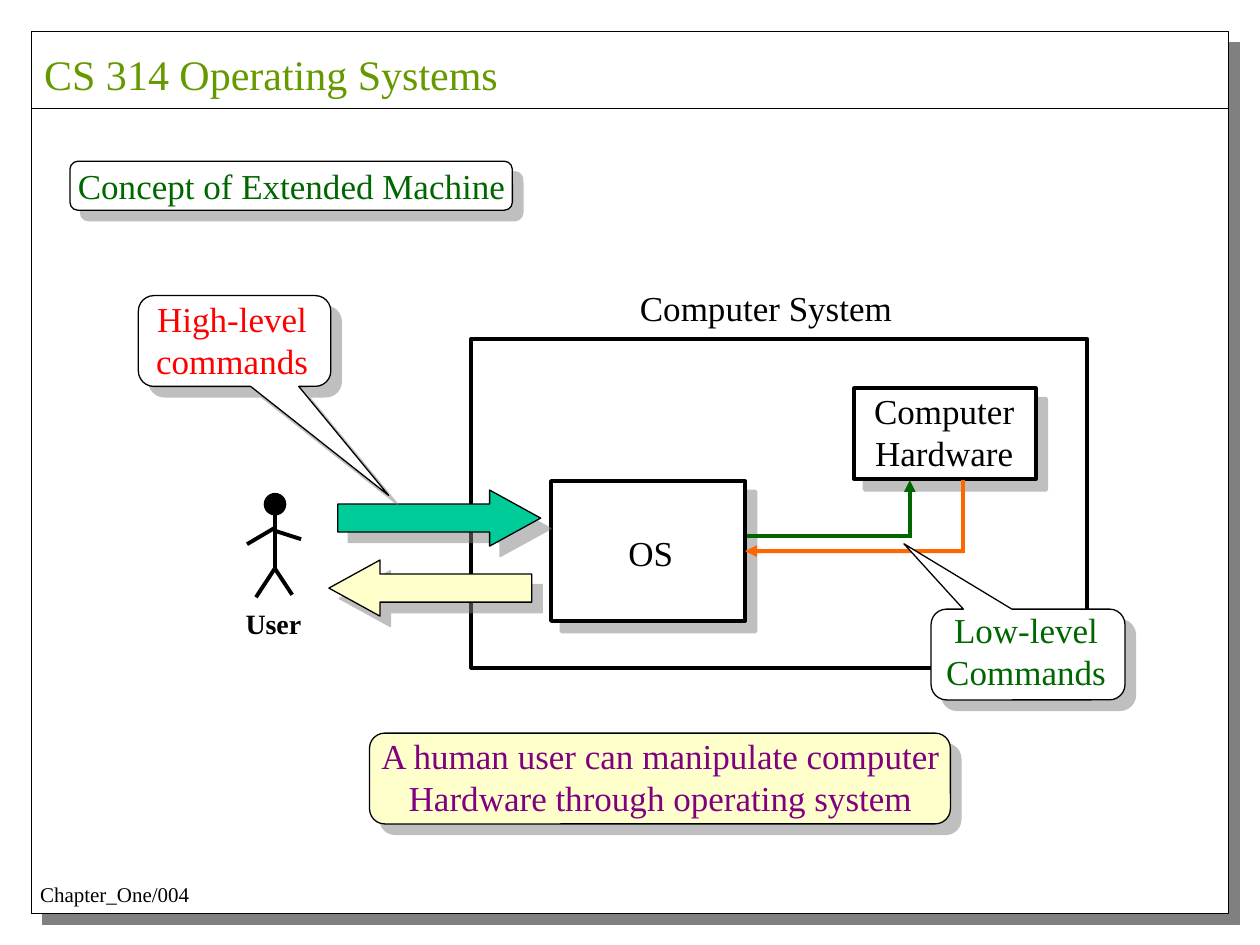
from dataclasses import dataclass

from lxml.etree import SubElement
from pptx import Presentation
from pptx.dml.color import RGBColor
from pptx.enum.shapes import MSO_CONNECTOR, MSO_SHAPE
from pptx.enum.text import MSO_ANCHOR, MSO_AUTO_SIZE, PP_ALIGN
from pptx.oxml.ns import qn
from pptx.util import Cm, Pt

FONT = "Times New Roman"
COLORS = {
    "black": "000000",
    "white": "FFFFFF",
    "gray": "808080",
    "olive": "669900",
    "green": "006600",
    "red": "FF0000",
    "orange": "FF6600",
    "purple": "800080",
    "teal": "00CC99",
    "cream": "FFFFCC",
}


@dataclass
class Box:
    kind: MSO_SHAPE
    at: tuple
    fill: str = "white"
    width: float = 0.75
    shade: int = 50
    adjust: tuple = ()
    turn: int = 0


@dataclass
class Wire:
    start: tuple
    end: tuple
    color: str = "black"
    width: float = 2.25
    arrow: bool = False


@dataclass
class Label:
    at: tuple
    text: str
    color: str = "black"
    size: int = 20
    bold: bool = False
    align: PP_ALIGN = PP_ALIGN.LEFT


def rgb(name: str) -> RGBColor:
    return RGBColor.from_string(COLORS[name])


def write(shape, text: str, size: int = 20, color: str = "black",
          bold: bool = False, align: PP_ALIGN = PP_ALIGN.LEFT) -> None:
    frame = shape.text_frame
    frame.word_wrap = False
    frame.auto_size = MSO_AUTO_SIZE.NONE
    frame.vertical_anchor = MSO_ANCHOR.TOP
    frame.margin_left = frame.margin_right = Cm(0.25)
    frame.margin_top = frame.margin_bottom = Cm(0.13)
    for index, line in enumerate(text.split("\n")):
        para = frame.add_paragraph() if index else frame.paragraphs[0]
        para.alignment = align
        run = para.add_run()
        run.text = line
        run.font.name = FONT
        run.font.size = Pt(size)
        run.font.bold = bold
        run.font.color.rgb = rgb(color)


def shadow(shape, alpha: int) -> None:
    shape.shadow.inherit = False
    if alpha:
        effects = shape.element.spPr.find(qn("a:effectLst"))
        outer = SubElement(effects, qn("a:outerShdw"), dist=str(Pt(8.5)),
                           dir="2700000", algn="ctr", rotWithShape="0")
        tint = SubElement(outer, qn("a:srgbClr"), val=COLORS["gray"])
        SubElement(tint, qn("a:alpha"), val=str(alpha * 1000))


def draw(slide, box: Box):
    shape = slide.shapes.add_shape(box.kind, *map(Cm, box.at))
    for index, value in enumerate(box.adjust):
        shape.adjustments[index] = value
    shape.rotation = box.turn
    shape.fill.solid()
    shape.fill.fore_color.rgb = rgb(box.fill)
    shape.line.color.rgb = rgb("black")
    shape.line.width = Pt(box.width)
    shadow(shape, box.shade)
    return shape


def link(slide, wire: Wire):
    line = slide.shapes.add_connector(
        MSO_CONNECTOR.STRAIGHT, *map(Cm, wire.start + wire.end))
    line.line.color.rgb = rgb(wire.color)
    line.line.width = Pt(wire.width)
    if wire.arrow:
        SubElement(line.get_or_add_ln(), qn("a:tailEnd"), type="triangle")
    SubElement(line.element.spPr, qn("a:effectLst"))
    return line


def note(slide, label: Label) -> None:
    area = slide.shapes.add_textbox(*map(Cm, label.at))
    write(area, label.text, size=label.size, color=label.color,
          bold=label.bold, align=label.align)


FRAME = Box(MSO_SHAPE.RECTANGLE, (0.64, 0.64, 24.13, 17.78), shade=100)
RULE = Wire((0.64, 2.19), (24.77, 2.19), width=0.75)
SYSTEM = Box(MSO_SHAPE.RECTANGLE, (9.5, 6.83, 12.42, 6.63), width=2.25, shade=0)
KERNEL = Box(MSO_SHAPE.RECTANGLE, (11.11, 9.7, 3.91, 2.82), width=2.25)
PARTS = [
    Box(MSO_SHAPE.RECTANGLE, (17.22, 7.83, 3.66, 1.83), width=2.25),
    Box(MSO_SHAPE.RIGHT_ARROW, (6.81, 9.88, 4.09, 1.13), "teal",
        adjust=(0.5, 0.91)),
    Box(MSO_SHAPE.RIGHT_ARROW, (6.63, 11.29, 4.09, 1.13), "cream",
        adjust=(0.5, 0.91), turn=180),
    Box(MSO_SHAPE.ROUNDED_RECTANGLE, (1.41, 3.25, 8.92, 0.99)),
    Box(MSO_SHAPE.OVAL, (5.33, 9.95, 0.43, 0.43), "black", shade=0),
    Box(MSO_SHAPE.ROUNDED_RECTANGLE, (7.45, 14.78, 11.71, 1.83), "cream"),
]
WIRES = [
    Wire((15.06, 10.8), (18.39, 10.8), "green"),
    Wire((18.34, 10.8), (18.34, 9.68), "green", arrow=True),
    Wire((19.41, 9.68), (19.41, 11.15), "orange"),
]
REPLY = Wire((19.41, 11.11), (15.02, 11.11), "orange", arrow=True)
HIP = (5.54, 11.46)
LIMBS = [
    Wire((5.54, 10.16), HIP),
    Wire(HIP, (5.16, 12.04)),
    Wire(HIP, (5.89, 11.99)),
    Wire((5.54, 10.64), (4.98, 10.97)),
    Wire((5.51, 10.69), (6.07, 10.87)),
]
CALLS = [
    Box(MSO_SHAPE.ROUNDED_RECTANGULAR_CALLOUT, (2.79, 5.96, 3.88, 1.83),
        adjust=(0.8, 1.7, 0.17)),
    Box(MSO_SHAPE.ROUNDED_RECTANGULAR_CALLOUT, (18.77, 12.28, 3.91, 1.83),
        adjust=(-0.64, -1.22, 0.17)),
]
MID = PP_ALIGN.CENTER
LABELS = [
    Label((12.65, 5.64, 5.59, 1.12), "Computer System"),
    Label((12.42, 10.59, 1.4, 1.12), "OS"),
    Label((17.37, 7.72, 3.33, 1.96), "Computer\nHardware", align=MID),
    Label((1.32, 3.18, 9.12, 1.12), "Concept of Extended Machine", "green"),
    Label((4.7, 12.09, 1.63, 0.94), "User", size=16, bold=True),
    Label((7.42, 14.68, 11.79, 1.96),
          "A human user can manipulate computer\nHardware through operating system",
          "purple", align=MID),
    Label((2.9, 5.87, 3.56, 1.96), "High-level\ncommands", "red", align=MID),
    Label((18.82, 12.14, 3.73, 1.96), "Low-level\nCommands", "green", align=MID),
    Label((0.56, 17.65, 3.51, 0.76), "Chapter_One/004", size=12),
]


def main() -> None:
    deck = Presentation()
    deck.slide_width, deck.slide_height = Cm(25.4), Cm(19.05)
    slide = deck.slides.add_slide(deck.slide_layouts[5])
    title = slide.shapes.title
    draw(slide, FRAME)
    draw(slide, SYSTEM)
    link(slide, RULE)
    kernel = draw(slide, KERNEL)
    for box in PARTS:
        draw(slide, box)
    for wire in WIRES + LIMBS:
        link(slide, wire)
    link(slide, REPLY).end_connect(kernel, 3)
    for box in CALLS:
        draw(slide, box)
    for label in LABELS:
        note(slide, label)
    title.left, title.top, title.width, title.height = map(
        Cm, (0.64, 0.84, 9.65, 1.27))
    write(title, "CS 314 Operating Systems", size=24, color="olive")
    title.element.getparent().append(title.element)
    deck.save("out.pptx")


if __name__ == "__main__":
    main()
